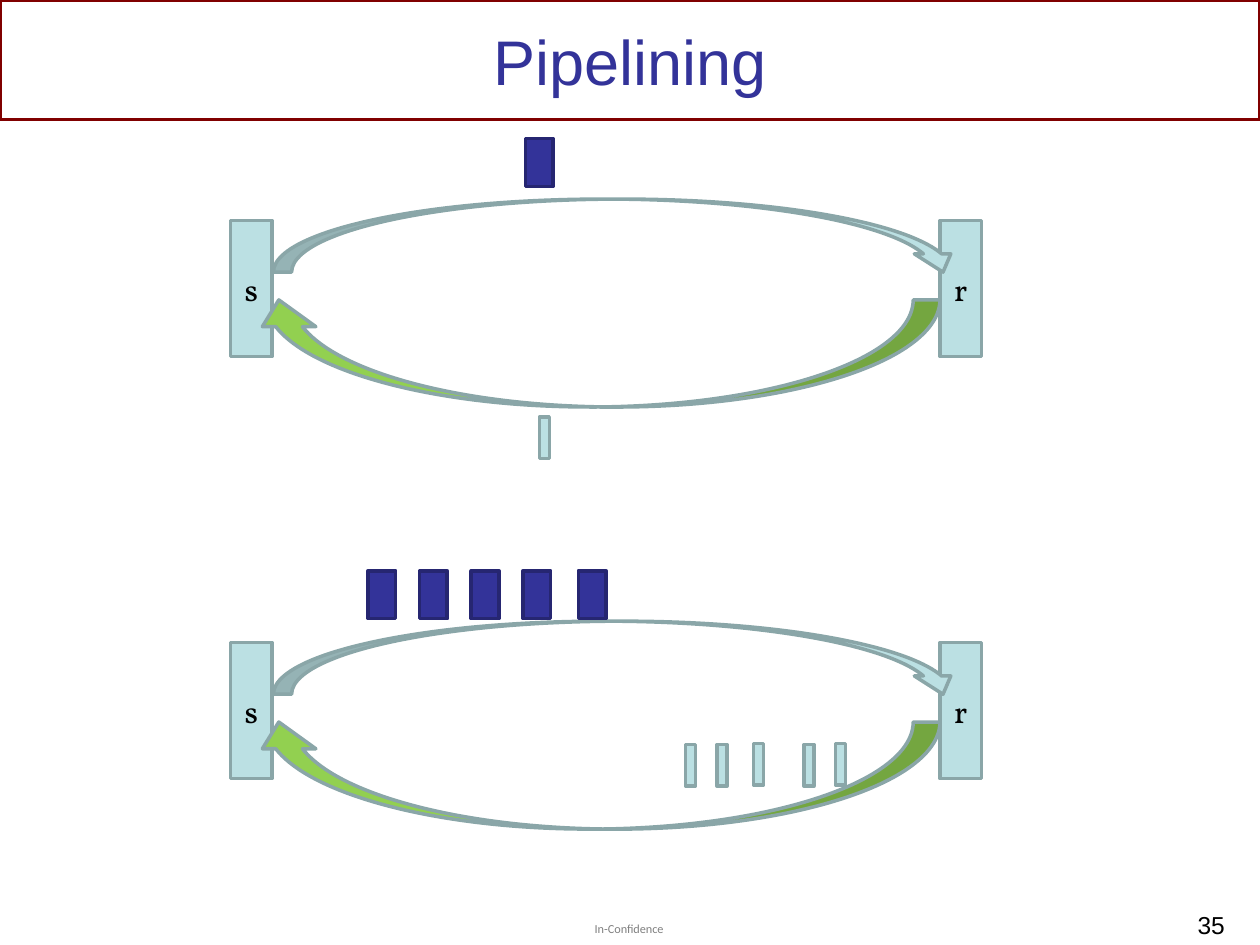
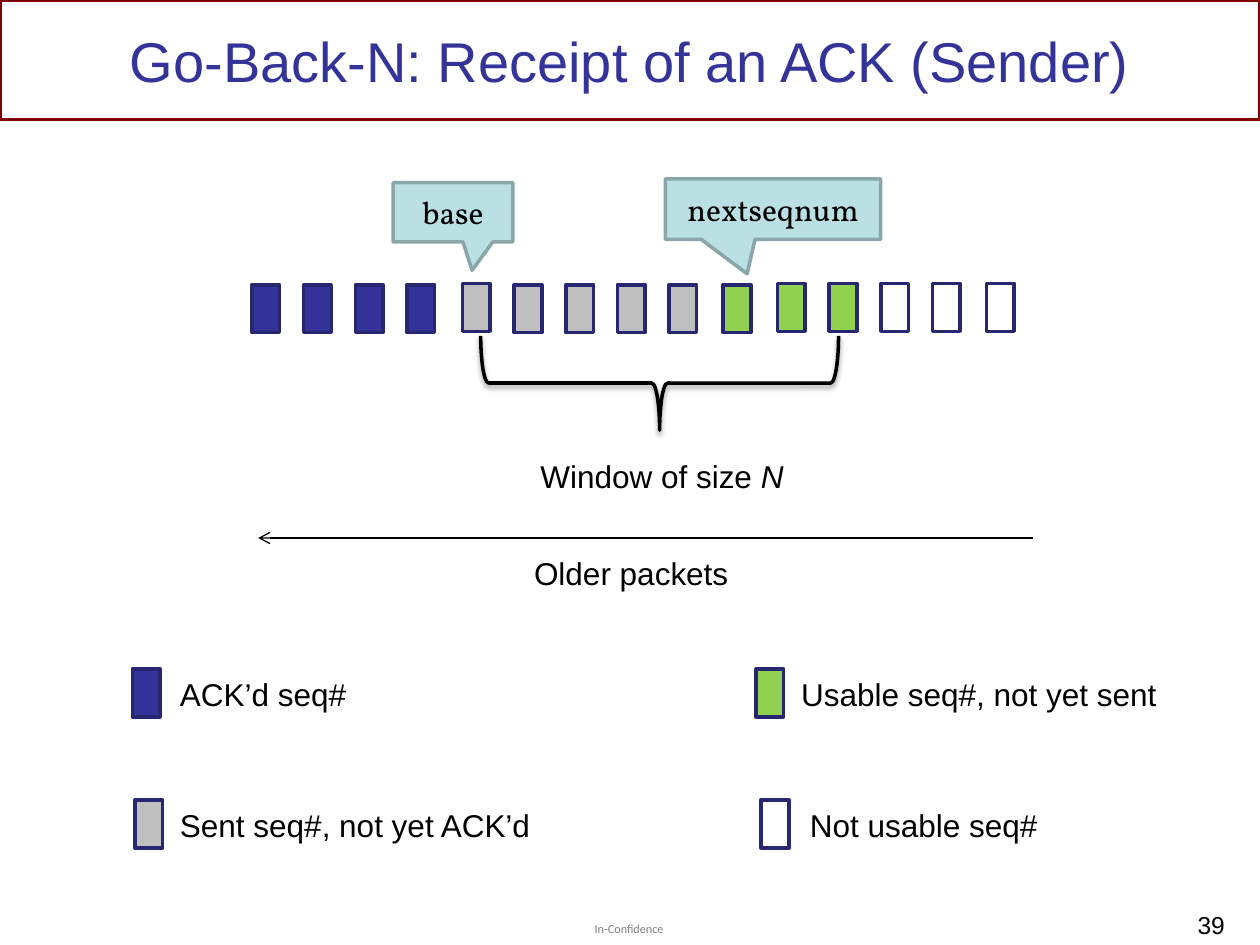
from dataclasses import dataclass
from typing import Optional

import lxml.etree
import pptx
import pptx.dml.color
import pptx.enum.shapes
import pptx.enum.text
import pptx.oxml.ns
import pptx.shapes.autoshape
import pptx.slide
import pptx.text.text
import pptx.util

RGBColor = pptx.dml.color.RGBColor
MSO_SHAPE = pptx.enum.shapes.MSO_SHAPE
PP_ALIGN = pptx.enum.text.PP_ALIGN
MSO_ANCHOR = pptx.enum.text.MSO_ANCHOR
MSO_AUTO_SIZE = pptx.enum.text.MSO_AUTO_SIZE
qn = pptx.oxml.ns.qn

EMU_PER_PX = 9144

BLACK = RGBColor(0x00, 0x00, 0x00)
WHITE = RGBColor(0xFF, 0xFF, 0xFF)
MAROON = RGBColor(0x80, 0x00, 0x00)
BLUE = RGBColor(0x33, 0x33, 0x99)
NAVY = RGBColor(0x26, 0x26, 0x71)
TEAL = RGBColor(0xBB, 0xE0, 0xE3)
TEAL_DARK = RGBColor(0x8A, 0xA6, 0xA8)
GREEN = RGBColor(0x92, 0xD0, 0x50)
GRAY = RGBColor(0xBF, 0xBF, 0xBF)

PACKET_W, PACKET_H, PACKET_PITCH = 22, 38, 41


@dataclass(frozen=True)
class PacketRun:
    left: int
    top: int
    count: int
    fill: RGBColor


@dataclass(frozen=True)
class Callout:
    text: str
    box: tuple[int, int, int, int]
    tip: tuple[float, float]


@dataclass(frozen=True)
class LegendItem:
    packet: PacketRun
    label: str
    box: tuple[int, int, int, int]


@dataclass(frozen=True)
class Exchange:
    top: int
    packets: tuple[PacketRun, ...]
    acks: tuple[tuple[int, int], ...]


EXCHANGES = (
    Exchange(175, (PacketRun(417, 110, 1, BLUE),), ((428, 331),)),
    Exchange(
        510,
        (PacketRun(292, 453, 4, BLUE), PacketRun(459, 453, 1, BLUE)),
        ((544, 591), (569, 591), (598, 590), (638, 591), (663, 590)),
    ),
)
SEQUENCE = (
    PacketRun(200, 226, 4, BLUE),
    PacketRun(367, 225, 1, GRAY),
    PacketRun(408, 226, 4, GRAY),
    PacketRun(574, 226, 1, GREEN),
    PacketRun(617, 225, 2, GREEN),
    PacketRun(699, 225, 2, WHITE),
    PacketRun(783, 225, 1, WHITE),
)
CALLOUTS = (
    Callout("base", (312, 145, 95, 47), (0.16, 0.98)),
    Callout("nextseqnum", (528, 142, 171, 48), (-0.12, 1.07)),
)
LEGEND = (
    LegendItem(PacketRun(105, 531, 1, BLUE), "ACK’d seq#", (133, 531, 153, 40)),
    LegendItem(PacketRun(107, 635, 1, GRAY), "Sent seq#, not yet ACK’d", (133, 635, 301, 40)),
    LegendItem(PacketRun(600, 531, 1, GREEN), "Usable seq#, not yet sent", (626, 531, 305, 40)),
    LegendItem(PacketRun(604, 635, 1, WHITE), "Not usable seq#", (633, 635, 203, 40)),
)


def px(*lengths: int) -> list[pptx.util.Emu]:
    return [pptx.util.Emu(n * EMU_PER_PX) for n in lengths]


def write(tf: pptx.text.text.TextFrame, text: str, *, size: int = 18, font: str = "Arial",
          color: RGBColor = BLACK, align: Optional[PP_ALIGN] = None,
          italic: Optional[bool] = None, alpha: Optional[int] = None) -> None:
    p = tf.paragraphs[0]
    if align is not None:
        p.alignment = align
    r = p.add_run()
    r.text = text
    r.font.size = pptx.util.Pt(size)
    r.font.name = font
    r.font.italic = italic
    r.font.color.rgb = color
    if alpha is not None:
        clr = r.font.fill._xPr.find(qn("a:solidFill"))[0]
        lxml.etree.SubElement(clr, qn("a:alpha"), val=str(alpha * 1000))


def add_text(s: pptx.slide.Slide, box: tuple[int, int, int, int], text: str, *,
             wrap: bool = False, inset: Optional[int] = None,
             **fmt) -> pptx.text.text.TextFrame:
    tf = s.shapes.add_textbox(*px(*box)).text_frame
    tf.word_wrap = wrap
    tf.auto_size = MSO_AUTO_SIZE.NONE if wrap else MSO_AUTO_SIZE.SHAPE_TO_FIT_TEXT
    if inset is not None:
        tf.margin_left = tf.margin_top = tf.margin_right = tf.margin_bottom = inset
    write(tf, text, **fmt)
    return tf


def add_shape(s: pptx.slide.Slide, kind: MSO_SHAPE, box: tuple[int, int, int, int],
              fill: Optional[RGBColor], line: RGBColor,
              text: str = "") -> pptx.shapes.autoshape.Shape:
    sp = s.shapes.add_shape(kind, *px(*box))
    sp.shadow.inherit = False
    if fill is None:
        sp.fill.background()
    else:
        sp.fill.solid()
        sp.fill.fore_color.rgb = fill
    sp.line.color.rgb = line
    sp.line.width = pptx.util.Pt(2)
    if text:
        sp.text_frame.vertical_anchor = MSO_ANCHOR.MIDDLE
        write(sp.text_frame, text, font="Vollkorn", align=PP_ALIGN.CENTER)
    return sp


def add_packets(s: pptx.slide.Slide, run: PacketRun) -> None:
    for i in range(run.count):
        box = (run.left + i * PACKET_PITCH, run.top, PACKET_W, PACKET_H)
        add_shape(s, MSO_SHAPE.RECTANGLE, box, run.fill, NAVY)


def add_slide(prs: pptx.Presentation, title: str, number: int, title_size: int) -> pptx.slide.Slide:
    s = prs.slides.add_slide(prs.slide_layouts.get_by_name("Title Only"))
    band = add_shape(s, MSO_SHAPE.RECTANGLE, (0, 0, 1000, 95), None, MAROON)
    s.shapes.title.element.addprevious(band.element)
    sp = s.shapes.title
    sp.left, sp.top, sp.width, sp.height = px(50, 8, 900, 79)
    tf = sp.text_frame
    tf.auto_size = MSO_AUTO_SIZE.NONE
    tf.vertical_anchor = MSO_ANCHOR.MIDDLE
    write(tf, title, size=title_size, color=BLUE, align=PP_ALIGN.CENTER)
    add_text(s, (472, 731, 57, 12), "In-Confidence", inset=0, size=7, font="Calibri", alpha=50)
    add_text(s, (762, 717, 220, 30), str(number), wrap=True, size=14, align=PP_ALIGN.RIGHT)
    return s


def add_exchange(s: pptx.slide.Slide, ex: Exchange) -> None:
    for left, name in ((183, "s"), (746, "r")):
        add_shape(s, MSO_SHAPE.RECTANGLE, (left, ex.top, 33, 108), TEAL, TEAL_DARK, name)
    add_shape(s, MSO_SHAPE.CURVED_DOWN_ARROW, (217, ex.top - 17, 546, 58), TEAL, TEAL_DARK)
    back = add_shape(s, MSO_SHAPE.CURVED_UP_ARROW, (200, ex.top + 63, 546, 85), GREEN, TEAL_DARK)
    back.rotation = 180
    back.element.spPr.find(qn("a:xfrm")).set("flipV", "1")
    for run in ex.packets:
        add_packets(s, run)
    for left, top in ex.acks:
        add_shape(s, MSO_SHAPE.RECTANGLE, (left, top, 8, 33), TEAL, TEAL_DARK)


def add_window_brace(s: pptx.slide.Slide) -> None:
    brace = add_shape(s, MSO_SHAPE.RIGHT_BRACE, (486, 162, 75, 284), None, BLACK)
    brace.rotation = 90
    effects = brace.element.spPr.find(qn("a:effectLst"))
    shadow = lxml.etree.SubElement(effects, qn("a:outerShdw"), blurRad="39370", dist="20320",
                                   dir="5400000", rotWithShape="0")
    clr = lxml.etree.SubElement(shadow, qn("a:srgbClr"), val=str(BLACK))
    lxml.etree.SubElement(clr, qn("a:alpha"), val="38000")
    tf = add_text(s, (419, 358, 215, 40), "Window of size ")
    write(tf, "N", italic=True)


def add_age_arrow(s: pptx.slide.Slide) -> None:
    cx = s.shapes.add_connector(pptx.enum.shapes.MSO_CONNECTOR.STRAIGHT, *px(820, 427, 205, 427))
    cx.line.color.rgb = BLACK
    cx.line.width = pptx.util.Pt(0.75)
    spPr = cx.element.spPr
    lxml.etree.SubElement(spPr.find(qn("a:ln")), qn("a:tailEnd"), type="arrow")
    lxml.etree.SubElement(spPr, qn("a:effectLst"))
    add_text(s, (414, 435, 176, 40), "Older packets")


def build_pipelining(prs: pptx.Presentation) -> None:
    s = add_slide(prs, "Pipelining", 35, 36)
    for ex in EXCHANGES:
        add_exchange(s, ex)


def build_go_back_n(prs: pptx.Presentation) -> None:
    s = add_slide(prs, "Go-Back-N: Receipt of an ACK (Sender)", 39, 32)
    for run in SEQUENCE:
        add_packets(s, run)
    add_window_brace(s)
    for c in CALLOUTS:
        sp = add_shape(s, MSO_SHAPE.RECTANGULAR_CALLOUT, c.box, TEAL, TEAL_DARK, c.text)
        sp.adjustments[0], sp.adjustments[1] = c.tip
    add_age_arrow(s)
    for item in LEGEND:
        add_packets(s, item.packet)
        add_text(s, item.box, item.label)


def main() -> None:
    prs = pptx.Presentation()
    prs.slide_width, prs.slide_height = px(1000, 750)
    build_pipelining(prs)
    build_go_back_n(prs)
    prs.save("out.pptx")


if __name__ == "__main__":
    main()
